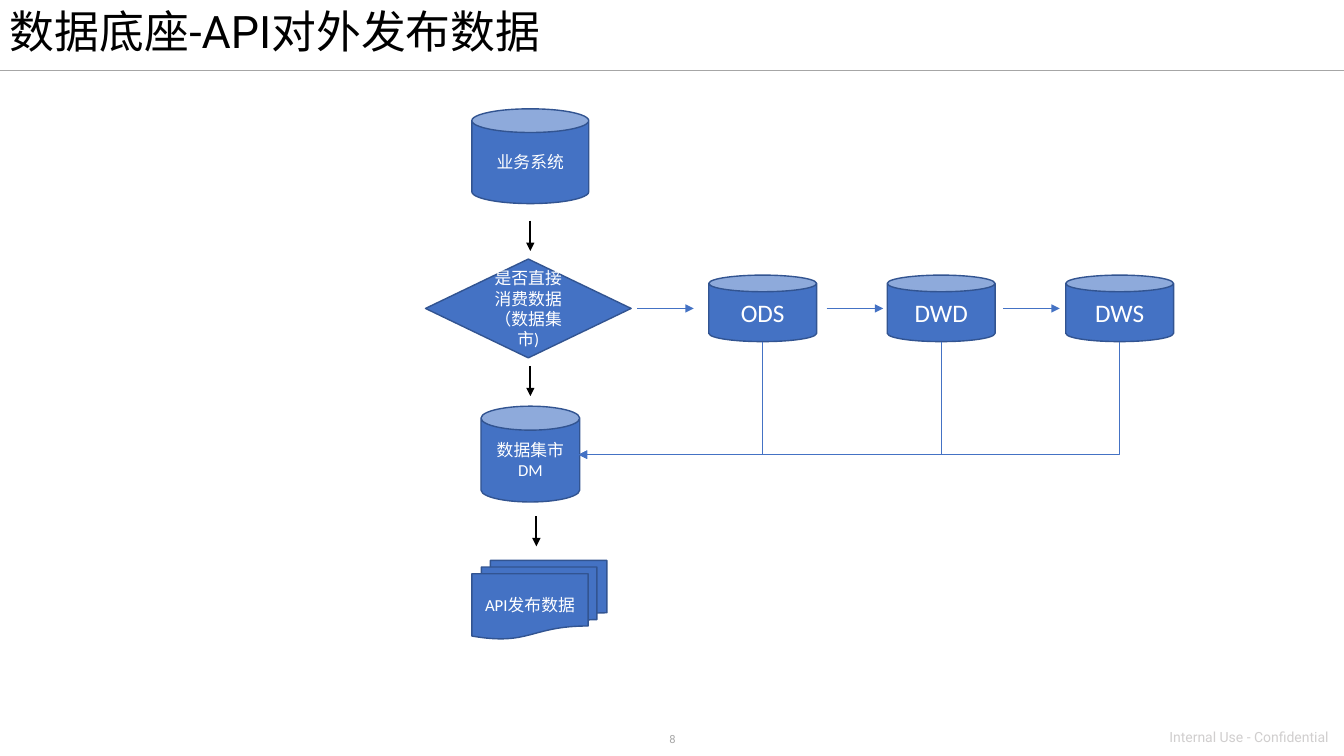
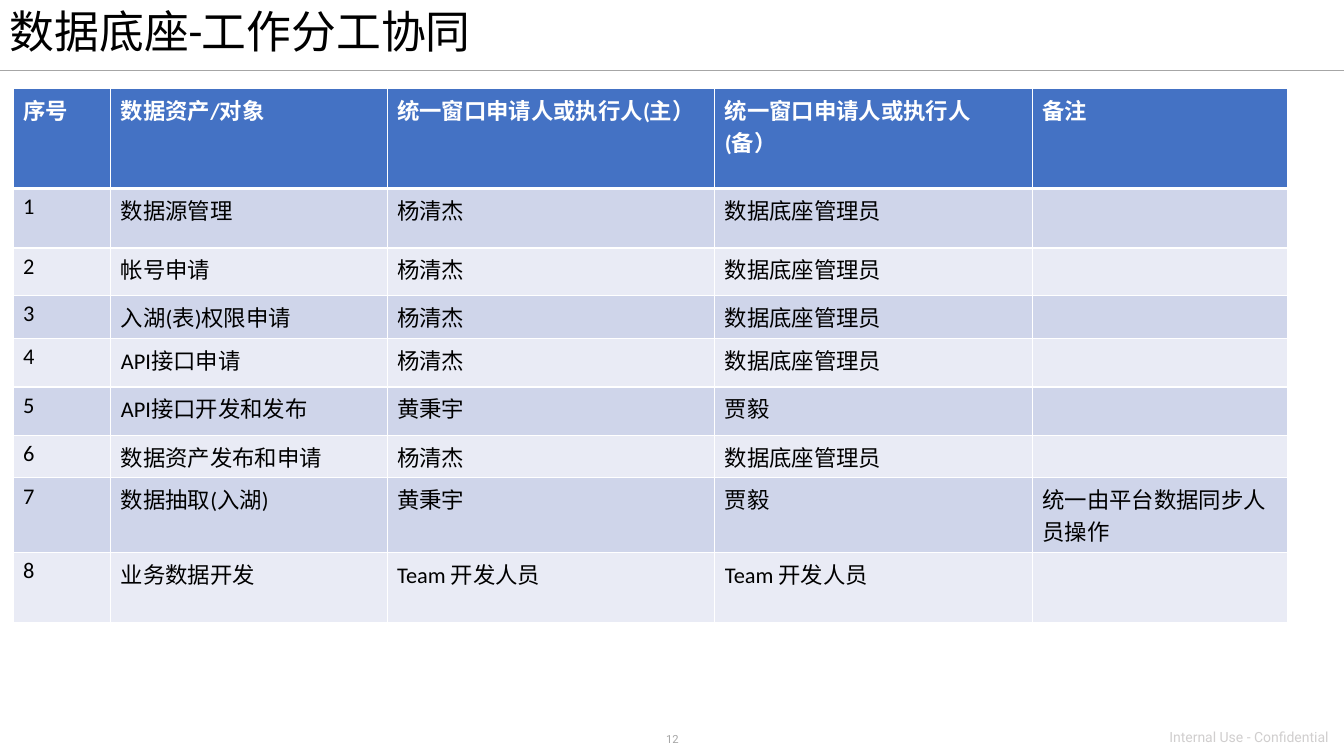
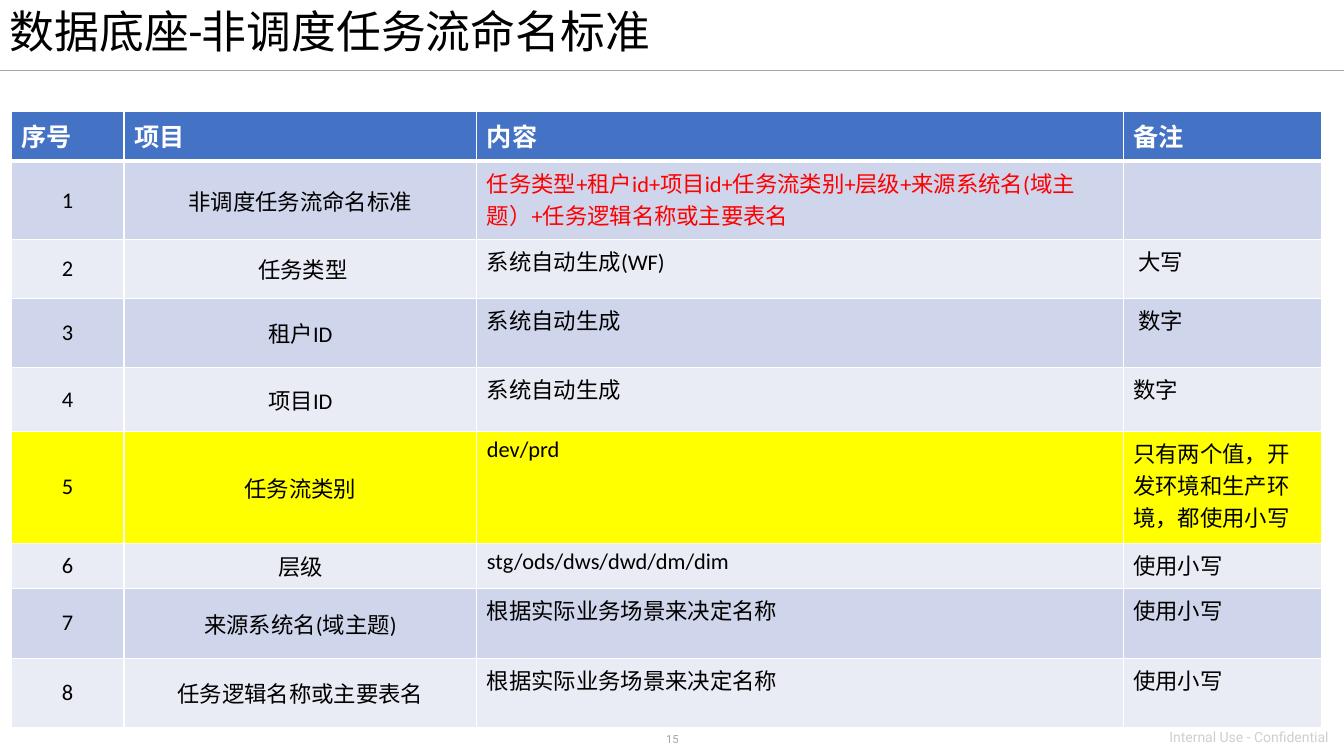
from typing import NamedTuple

from lxml import etree
from pptx import Presentation
from pptx.dml.color import RGBColor
from pptx.enum.shapes import MSO_CONNECTOR, MSO_SHAPE
from pptx.enum.text import MSO_ANCHOR, PP_ALIGN
from pptx.oxml.ns import qn
from pptx.util import Inches, Pt

CAN = MSO_SHAPE.CAN
CHOICE = MSO_SHAPE.FLOWCHART_DECISION
PAPERS = MSO_SHAPE.FLOWCHART_MULTIDOCUMENT
STRAIGHT = MSO_CONNECTOR.STRAIGHT
LEFT, CENTER = PP_ALIGN.LEFT, PP_ALIGN.CENTER
TOP, MIDDLE = MSO_ANCHOR.TOP, MSO_ANCHOR.MIDDLE

BLUE, EDGE, WHITE, BLACK = "4472C4", "325491", "FFFFFF", "000000"
GREY, PALE, RED, YELLOW = "A6A6A6", "D0CECE", "FF0000", "FFFF00"
BANDS = ("CFD5EA", "E9EBF5")
HEAD, BODY = "Roboto", "Calibri"
WIDTH, HEIGHT = 13.33, 7.5


class Node(NamedTuple):
    kind: int
    left: float
    top: float
    width: float
    height: float
    text: str
    size: int = 12


class Arrow(NamedTuple):
    x1: float
    y1: float
    x2: float
    y2: float
    color: str = BLACK
    weight: float = 1.5


class Grid(NamedTuple):
    left: float
    top: float
    cols: list[float]
    rows: list[float]
    cells: list[list[str]]
    head: int = 16
    centred: int = 0  # leading columns with centred text
    fills: dict[int, str] = {}
    inks: dict[tuple[int, int], str] = {}


def rgb(code: str) -> RGBColor:
    return RGBColor.from_string(code)


def write(frame, text: str, *, size: float, color: str = BLACK, font: str = BODY,
          bold: bool = False, align=LEFT, spacing: float = 1.0) -> None:
    para = frame.paragraphs[0]
    para.alignment = align
    para.line_spacing = spacing
    run = para.add_run()
    run.text = text
    run.font.size = Pt(size)
    run.font.name = font
    run.font.bold = bold
    run.font.color.rgb = rgb(color)


def label(slide, left: float, top: float, width: float, height: float,
          text: str, anchor=TOP, **style) -> None:
    box = slide.shapes.add_textbox(*map(Inches, (left, top, width, height)))
    box.text_frame.word_wrap = True
    box.text_frame.vertical_anchor = anchor
    write(box.text_frame, text, font=HEAD, **style)


def link(slide, x1: float, y1: float, x2: float, y2: float, color: str,
         weight: float, arrow: bool = True):
    line = slide.shapes.add_connector(STRAIGHT, *map(Inches, (x1, y1, x2, y2)))
    line.line.color.rgb = rgb(color)
    line.line.width = Pt(weight)
    props = line._element.spPr
    if arrow:
        etree.SubElement(props.find(qn("a:ln")), qn("a:tailEnd"), type="triangle")
    etree.SubElement(props, qn("a:effectLst"))
    return line


def elbow(slide, x1: float, y1: float, x2: float, y2: float) -> None:
    """Arrow that runs down from (x1, y1), then left to (x2, y2)."""
    wide, tall = x1 - x2, y2 - y1
    line = link(slide, x1, y1, x2, y2, BLUE, 0.5)
    props = line._element.spPr
    props.find(qn("a:prstGeom")).set("prst", "bentConnector2")
    frame = props.find(qn("a:xfrm"))
    frame.attrib.pop("flipH", None)
    frame.set("rot", "5400000")
    # The frame is stored unturned, around the same centre.
    line.left = Inches((x1 + x2 - tall) / 2)
    line.top = Inches((y1 + y2 - wide) / 2)
    line.width, line.height = Inches(tall), Inches(wide)


def draw(slide, node: Node) -> None:
    shape = slide.shapes.add_shape(node.kind, *map(Inches, node[1:5]))
    shape.shadow.inherit = False
    shape.fill.solid()
    shape.fill.fore_color.rgb = rgb(BLUE)
    shape.line.color.rgb = rgb(EDGE)
    shape.line.width = Pt(1)
    shape.text_frame.word_wrap = True
    shape.text_frame.vertical_anchor = MIDDLE
    write(shape.text_frame, node.text, size=node.size, color=WHITE, align=CENTER)


def border(cell, row: int) -> None:
    """White edges, thick between the header and the body."""
    props = cell._tc.get_or_add_tcPr()
    thick = {("lnB", 0), ("lnT", 1)}
    for side in ("lnL", "lnR", "lnT", "lnB"):
        weight = Pt(3 if (side, row) in thick else 1)
        edge = etree.SubElement(props, qn(f"a:{side}"), w=str(weight))
        fill = etree.SubElement(edge, qn("a:solidFill"))
        etree.SubElement(fill, qn("a:srgbClr"), val=WHITE)


def fill_grid(slide, grid: Grid) -> None:
    table = slide.shapes.add_table(
        len(grid.rows), len(grid.cols), Inches(grid.left), Inches(grid.top),
        Inches(sum(grid.cols)), Inches(sum(grid.rows))).table
    table.first_row = table.horz_banding = False
    for col, width in zip(table.columns, grid.cols):
        col.width = Inches(width)
    for r, (height, texts) in enumerate(zip(grid.rows, grid.cells)):
        table.rows[r].height = Inches(height)
        top = r == 0
        shade = BLUE if top else grid.fills.get(r, BANDS[(r - 1) % 2])
        for c, text in enumerate(texts):
            cell = table.cell(r, c)
            mid = not top and c < grid.centred
            border(cell, r)
            cell.fill.solid()
            cell.fill.fore_color.rgb = rgb(shade)
            cell.vertical_anchor = MIDDLE if mid else TOP
            write(cell.text_frame, text, size=grid.head if top else 16, bold=top,
                  color=WHITE if top else grid.inks.get((r, c), BLACK),
                  align=CENTER if mid else LEFT)


def new_slide(deck, title: str, page: int):
    slide = deck.slides.add_slide(deck.slide_layouts[6])
    link(slide, 0, 0.7, WIDTH, 0.7, GREY, 1, arrow=False)
    label(slide, 5.79, 7.22, 1.76, 0.24, str(page), size=8, color=GREY, align=CENTER)
    label(slide, 11.5, 7.18, 1.84, 0.27, "Internal Use - Confidential",
          size=10, color=PALE)
    label(slide, 0, 0, 10.53, 0.68, title, MIDDLE, size=32, spacing=0.9)
    return slide


def flow(slide) -> None:
    stores = [Node(CAN, 7.03 + 1.77 * i, 2.73, 1.07, 0.66, name, 18)
              for i, name in enumerate(("ODS", "DWD", "DWS"))]
    nodes = [
        Node(CAN, 4.68, 1.08, 1.16, 0.94, "业务系统"),
        Node(CAN, 4.77, 4.03, 0.98, 0.95, "数据集市DM"),
        Node(CHOICE, 4.22, 2.57, 2.04, 0.98, "是否直接消费数据（数据集市)"),
        Node(PAPERS, 4.68, 5.56, 1.34, 0.78, "API发布数据"),
    ]
    for node in nodes + stores:
        draw(slide, node)
    steps = [Arrow(x, y, x, y + 0.3)
             for x, y in ((5.26, 2.19), (5.26, 3.63), (5.32, 5.12))]
    steps += [Arrow(x, 3.06, x + 0.56, 3.06, BLUE, 0.5) for x in (6.32, 8.2, 9.95)]
    for step in steps:
        link(slide, *step)
    for store in stores:
        elbow(slide, store.left + store.width / 2, store.top + store.height, 5.74, 4.51)


LEAD, ADMIN, DEV, SPARE, TEAM = "杨清杰", "数据底座管理员", "黄秉宇", "贾毅", "Team 开发人员"
AUTO, SCENE, LOWER = "系统自动生成", "根据实际业务场景来决定名称", "使用小写"

DUTIES = Grid(
    0.13, 0.88, [0.97, 2.74, 3.25, 3.15, 2.53],
    [0.99, 0.59, 0.47, 0.43, 0.48, 0.48, 0.42, 0.74, 0.7],
    [
        ["序号", "数据资产/对象", "统一窗口申请人或执行人(主）",
         "统一窗口申请人或执行人(备）", "备注"],
        ["1", "数据源管理", LEAD, ADMIN, ""],
        ["2", "帐号申请", LEAD, ADMIN, ""],
        ["3", "入湖(表)权限申请", LEAD, ADMIN, ""],
        ["4", "API接口申请", LEAD, ADMIN, ""],
        ["5", "API接口开发和发布", DEV, SPARE, ""],
        ["6", "数据资产发布和申请", LEAD, ADMIN, ""],
        ["7", "数据抽取(入湖)", DEV, SPARE, "统一由平台数据同步人员操作"],
        ["8", "业务数据开发", TEAM, TEAM, ""],
    ])

NAMING = Grid(
    0.11, 1.11, [1.12, 3.5, 6.41, 1.97],
    [0.49, 0.78, 0.58, 0.69, 0.63, 1.11, 0.45, 0.69, 0.69],
    [
        ["序号", "项目", "内容", "备注"],
        ["1", "非调度任务流命名标准",
         "任务类型+租户id+项目id+任务流类别+层级+来源系统名(域主题）+任务逻辑名称或主要表名", ""],
        ["2", " 任务类型", AUTO + "(WF)", " 大写"],
        ["3", "租户ID", AUTO, " 数字"],
        ["4", "项目ID", AUTO, "数字"],
        ["5", "任务流类别", "dev/prd", "只有两个值，开发环境和生产环境，都使用小写"],
        ["6", "层级", "stg/ods/dws/dwd/dm/dim", LOWER],
        ["7", "来源系统名(域主题)", SCENE, LOWER],
        ["8", "任务逻辑名称或主要表名", SCENE, LOWER],
    ],
    head=18, centred=2, fills={5: YELLOW}, inks={(1, 2): RED})


def main() -> None:
    deck = Presentation()
    deck.slide_width, deck.slide_height = Inches(WIDTH), Inches(HEIGHT)
    flow(new_slide(deck, "数据底座-API对外发布数据", 8))
    fill_grid(new_slide(deck, "数据底座-工作分工协同", 12), DUTIES)
    fill_grid(new_slide(deck, "数据底座-非调度任务流命名标准", 15), NAMING)
    deck.save("out.pptx")


if __name__ == "__main__":
    main()
